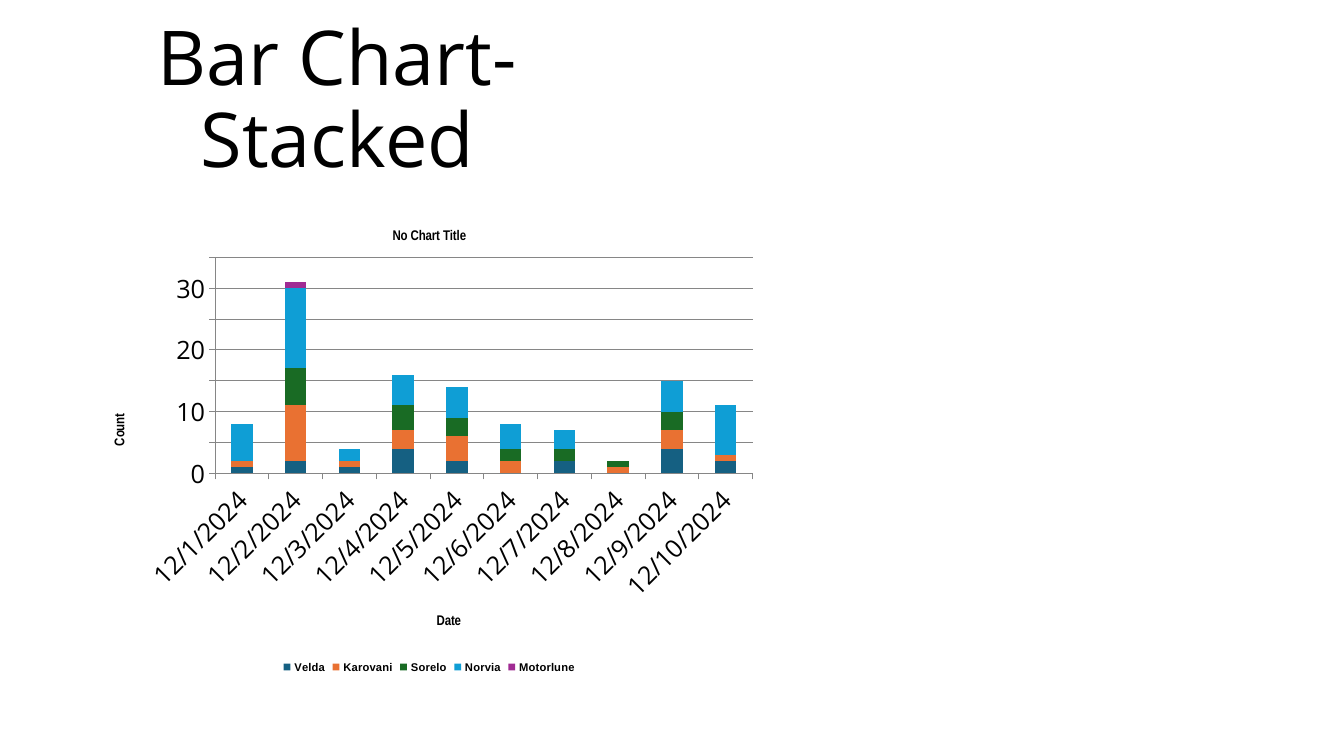
from dataclasses import dataclass

from pptx import Presentation
from pptx.chart.data import CategoryChartData
from pptx.dml.color import RGBColor
from pptx.enum.chart import XL_CHART_TYPE, XL_LEGEND_POSITION, XL_TICK_MARK
from pptx.enum.text import MSO_ANCHOR, MSO_AUTO_SIZE, PP_ALIGN
from pptx.util import Inches, Pt


@dataclass(frozen=True)
class Theme:
    ink: str = "000000"
    rule: str = "868686"
    body_font: str = "Open Sans"
    label_font: str = "Arial Narrow"
    legend_font: str = "Arial"
    heading_size: int = 54
    tick_size: int = 18
    label_size: int = 10
    legend_size: int = 8


THEME = Theme()
SLIDE_WIDTH, SLIDE_HEIGHT = Inches(13.33), Inches(7.5)

DATES = [f"12/{day}/2024" for day in range(1, 11)]
# Maker: (daily counts, bar colour)
MAKERS = {
    "Velda": ((1, 2, 1, 4, 2, 0, 2, 0, 4, 2), "156082"),
    "Karovani": ((1, 9, 1, 3, 4, 2, 0, 1, 3, 1), "E97132"),
    "Sorelo": ((0, 6, 0, 4, 3, 2, 2, 1, 3, 0), "196B24"),
    "Norvia": ((6, 13, 2, 5, 5, 4, 3, 0, 5, 8), "0F9ED5"),
    "Motorlune": ((0, 1, 0, 0, 0, 0, 0, 0, 0, 0), "A02B93"),
}


def area(left, top, width, height):
    """Turn percentages of the slide's size into lengths."""
    return (int(SLIDE_WIDTH * left / 100), int(SLIDE_HEIGHT * top / 100),
            int(SLIDE_WIDTH * width / 100), int(SLIDE_HEIGHT * height / 100))


def style_font(font, name, size, bold=False):
    font.name, font.size, font.bold = name, Pt(size), bold
    font.color.rgb = RGBColor.from_string(THEME.ink)


def set_heading(heading, text, place):
    heading.left, heading.top, heading.width, heading.height = place
    frame = heading.text_frame
    frame.text = text
    frame.word_wrap = True
    frame.auto_size = MSO_AUTO_SIZE.SHAPE_TO_FIT_TEXT
    frame.vertical_anchor = MSO_ANCHOR.TOP
    line = frame.paragraphs[0]
    line.alignment = PP_ALIGN.CENTER
    line.line_spacing = 0.9
    style_font(line.font, THEME.body_font, THEME.heading_size)


def set_label(titled, text):
    """Give a chart or an axis its small bold title."""
    frame = (titled.chart_title if hasattr(titled, "chart_title")
             else titled.axis_title).text_frame
    frame.text = text
    style_font(frame.paragraphs[0].font, THEME.label_font, THEME.label_size, True)


def style_axis(axis, text):
    set_label(axis, text)
    axis.major_tick_mark = XL_TICK_MARK.OUTSIDE
    axis.minor_tick_mark = XL_TICK_MARK.NONE
    style_font(axis.tick_labels.font, THEME.body_font, THEME.tick_size)
    style_rule(axis.format.line)


def style_rule(line):
    line.color.rgb = RGBColor.from_string(THEME.rule)
    line.width = Pt(0.75)


def add_stacked_chart(slide, place):
    counts = CategoryChartData()
    counts.categories = DATES
    for maker, (values, _) in MAKERS.items():
        counts.add_series(maker, values)
    chart = slide.shapes.add_chart(
        XL_CHART_TYPE.COLUMN_STACKED, *place, counts).chart
    style_font(chart.font, THEME.body_font, THEME.tick_size)
    set_label(chart, "No Chart Title")

    # Bars
    bars = chart.plots[0]
    bars.gap_width, bars.overlap = 150, 100
    bars.vary_by_categories = False
    for maker_bars in bars.series:
        fill = maker_bars.format.fill
        fill.solid()
        fill.fore_color.rgb = RGBColor.from_string(MAKERS[maker_bars.name][1])

    # Axes
    style_axis(chart.category_axis, "Date")
    style_axis(chart.value_axis, "Count")
    chart.value_axis.minimum_scale = 0
    chart.value_axis.maximum_scale = 35
    chart.value_axis.major_unit = 5
    chart.value_axis.has_major_gridlines = True
    style_rule(chart.value_axis.major_gridlines.format.line)
    for date_labels in chart.element.xpath(".//c:catAx/c:txPr/a:bodyPr"):
        date_labels.set("rot", str(-45 * 60000))

    # Legend
    chart.has_legend = True
    chart.legend.position = XL_LEGEND_POSITION.BOTTOM
    chart.legend.include_in_layout = False
    style_font(chart.legend.font, THEME.legend_font, THEME.legend_size, True)


def main():
    deck = Presentation()
    deck.slide_width, deck.slide_height = SLIDE_WIDTH, SLIDE_HEIGHT
    slide = deck.slides.add_slide(deck.slide_layouts[5])
    set_heading(slide.shapes.title, "Bar Chart-Stacked", area(1.8, 2, 46.6, 13.5))
    add_stacked_chart(slide, area(6.9, 28.1, 50.1, 61.5))
    deck.save("out.pptx")


if __name__ == "__main__":
    main()
